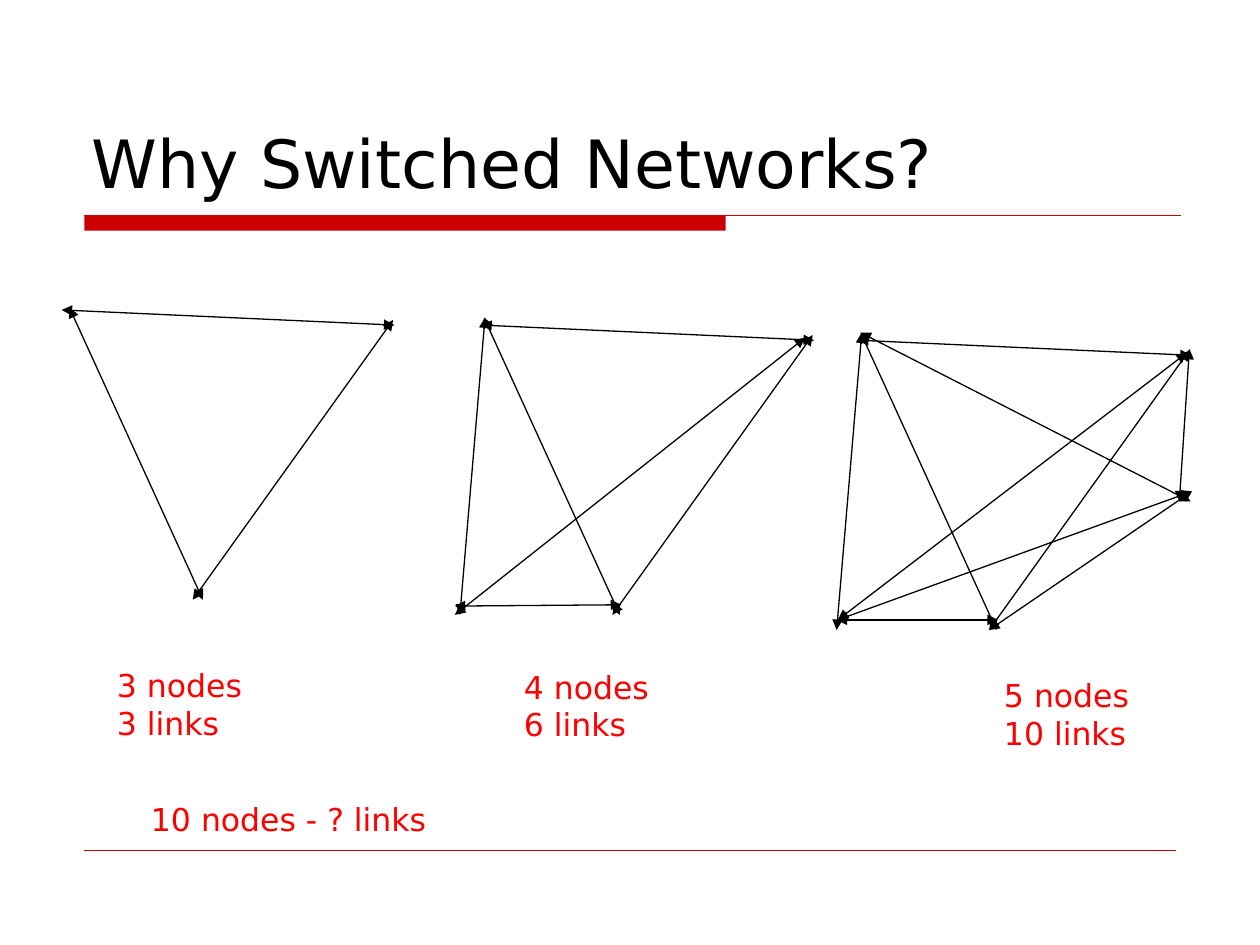
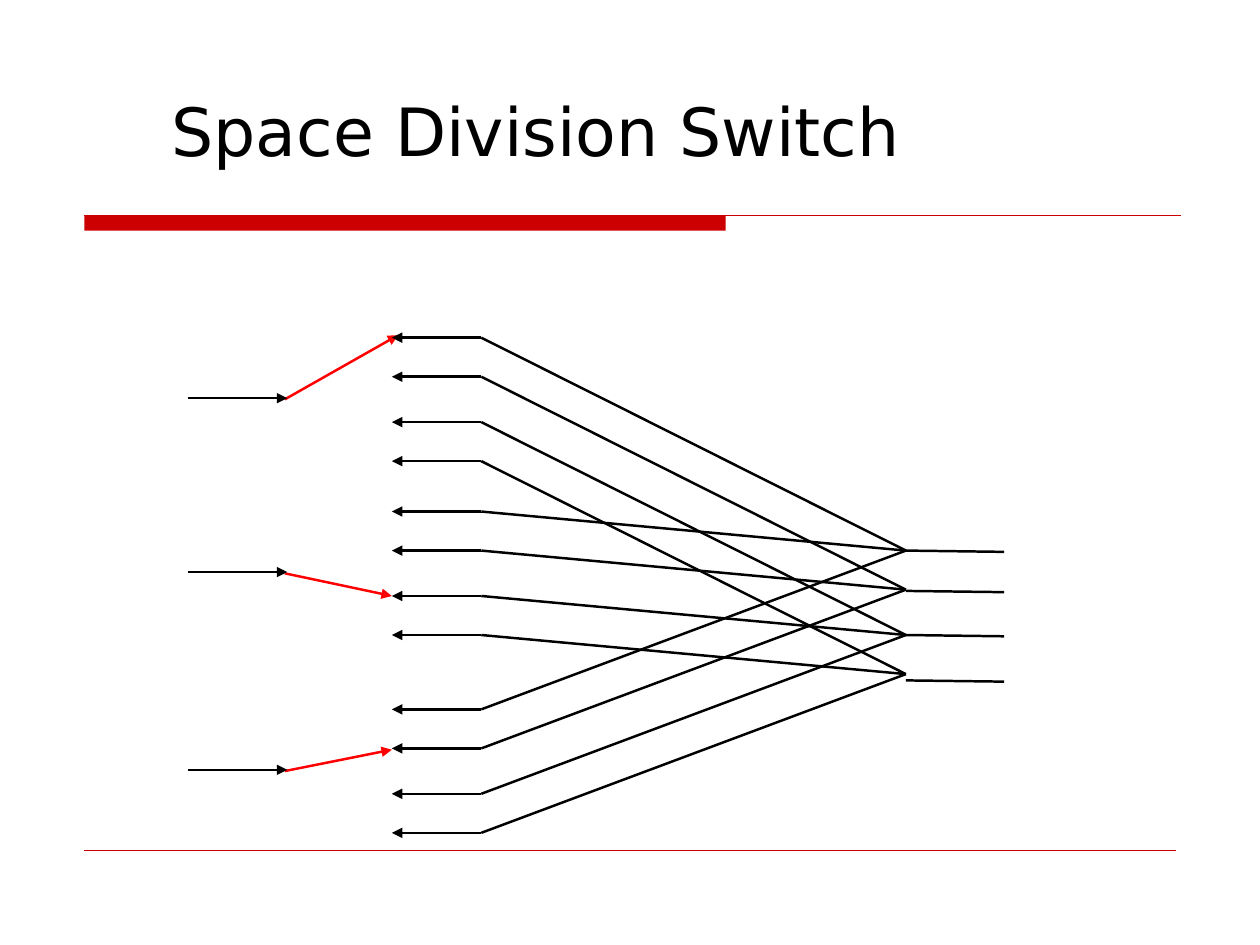
from dataclasses import dataclass
from lxml import etree
from pptx import Presentation
from pptx.dml.color import RGBColor
from pptx.enum import shapes, text
from pptx.oxml import ns
from pptx.util import Inches, Pt


@dataclass(frozen=True)
class Theme:
    font: str = "DejaVu Sans"
    ink: RGBColor = RGBColor(0, 0, 0)
    band: RGBColor = RGBColor(0xCC, 0, 0)
    mark: RGBColor = RGBColor(0xFF, 0, 0)
    title: float = 38
    label: float = 18
    hair: float = 0.25
    thin: float = 0.75
    thick: float = 1.42


THEME = Theme()

# Mesh links as (x1, y1, x2, y2), measured from the top left node
SIDES = [(0, 0, 2.64, 0.12), (2.63, 0.08, 1.04, 2.3)]
QUAD = SIDES + [(0.03, -0.06, -0.17, 2.3), (0.02, -0.06, 1.1, 2.3)]
MESHES = [
    (0.49, 2.46, SIDES + [(0.06, -0.02, 1.12, 2.3)]),
    (3.82, 2.58, QUAD + [(1.11, 2.22, -0.21, 2.23), (2.57, 0.1, -0.21, 2.3)]),
    (6.81, 2.7, QUAD + [
        (1.11, 2.22, -0.17, 2.22), (2.61, 0.1, -0.16, 2.22),
        (2.63, 0.07, 2.55, 1.28), (0.02, -0.06, 2.64, 1.28),
        (2.65, 1.2, -0.16, 2.22), (2.65, 1.2, 1.04, 2.3)]),
]
LABELS = [
    (0.83, 5.24, 1.3, 0.7, ["3 nodes", "3 links"]),
    (4.06, 5.25, 1.3, 0.7, ["4 nodes", "6 links"]),
    (7.87, 5.32, 1.3, 0.7, ["5 nodes", "10 links"]),
    (1.1, 6.3, 2.8, 0.4, ["10 nodes - ? links"]),
]

# Switch banks as (top, tip of the red arm), measured from the switch corner
BANKS = [(0, (1.67, -0.02)), (1.38, (1.62, 2.05)), (2.95, (1.62, 3.27))]
STEPS = [0, 0.31, 0.67, 0.98]   # contacts within a bank
EXITS = [0, 0.32, 0.67, 1.03]   # output lines


def add_line(slide, start, end, color, width, head=False, tail=False):
    line = slide.shapes.add_connector(
        shapes.MSO_CONNECTOR.STRAIGHT, *map(Inches, (*start, *end)))
    line.line.color.rgb = color
    line.line.width = Pt(width)
    pen = line.line._get_or_add_ln()
    for tag, on in (("a:headEnd", head), ("a:tailEnd", tail)):
        if on:
            etree.SubElement(pen, ns.qn(tag), type="triangle")
    etree.SubElement(line._element.spPr, ns.qn("a:effectLst"))


def add_run(para, words, size, color):
    run = para.add_run()
    run.text = words
    run.font.name = THEME.font
    run.font.size = Pt(size)
    run.font.color.rgb = color


def place(shape, box):
    shape.left, shape.top, shape.width, shape.height = map(Inches, box)


def add_frame(slide):
    # Title band and footer rule
    bar = slide.shapes.add_shape(
        shapes.MSO_SHAPE.RECTANGLE, *map(Inches, (0.67, 1.71, 5.09, 0.12)))
    bar.shadow.inherit = False
    bar.fill.solid()
    bar.fill.fore_color.rgb = THEME.band
    bar.line.fill.background()
    add_line(slide, (0.67, 1.71), (9.37, 1.71), THEME.band, THEME.thin)
    add_line(slide, (0.67, 6.75), (9.33, 6.75), THEME.band, THEME.hair)


def new_slide(deck, words, box, anchor):
    slide = deck.slides.add_slide(deck.slide_layouts[5])
    title = slide.shapes.title
    place(title, box)
    frame = title.text_frame
    frame.auto_size = text.MSO_AUTO_SIZE.NONE
    frame.word_wrap = True
    frame.vertical_anchor = anchor
    para = frame.paragraphs[0]
    para.alignment = text.PP_ALIGN.LEFT
    add_run(para, words, THEME.title, THEME.ink)
    add_frame(slide)
    return slide


def add_mesh(slide, left, top, links):
    for x1, y1, x2, y2 in links:
        add_line(slide, (left + x1, top + y1), (left + x2, top + y2),
                 THEME.ink, THEME.thin, head=True, tail=True)


def add_label(slide, left, top, width, height, rows):
    box = slide.shapes.add_textbox(*map(Inches, (left, top, width, height)))
    frame = box.text_frame
    frame.word_wrap = True
    for i, row in enumerate(rows):
        para = frame.add_paragraph() if i else frame.paragraphs[0]
        add_run(para, row, THEME.label, THEME.mark)


def add_switch(slide, left, top):
    def draw(x1, y1, x2, y2, color=THEME.ink, **ends):
        add_line(slide, (left + x1, top + y1), (left + x2, top + y2),
                 color, THEME.thick, **ends)

    pin, fan, port, hub = 1.62, 2.33, 5.7, 1.69
    for bank, tip in BANKS:
        # Input line and its moving arm
        entry = bank + 0.48
        draw(0.77, entry + 0.01, *tip, color=THEME.mark, tail=True)
        draw(0, entry, 0.79, entry, tail=True)
        # Contacts, each wired to the matching output
        for step in STEPS:
            draw(pin, bank + step, fan, bank + step, head=True)
            draw(fan, bank + step, port, hub + step)
    # Output lines
    for step in EXITS:
        draw(port, hub + step, 6.48, hub + step + 0.01)


def mesh_slide(deck):
    slide = new_slide(deck, "Why Switched Networks?",
                      (0.63, 0.28, 8.74, 1.37), text.MSO_ANCHOR.BOTTOM)
    for mesh in MESHES:
        add_mesh(slide, *mesh)
    for label in LABELS:
        add_label(slide, *label)


def switch_slide(deck):
    slide = new_slide(deck, "Space Division Switch",
                      (1.26, 0.18, 8.52, 1.7), text.MSO_ANCHOR.MIDDLE)
    add_switch(slide, 1.49, 2.68)


def main():
    deck = Presentation()
    deck.slide_width, deck.slide_height = Inches(10), Inches(7.5)
    mesh_slide(deck)
    switch_slide(deck)
    deck.save("out.pptx")


if __name__ == "__main__":
    main()
